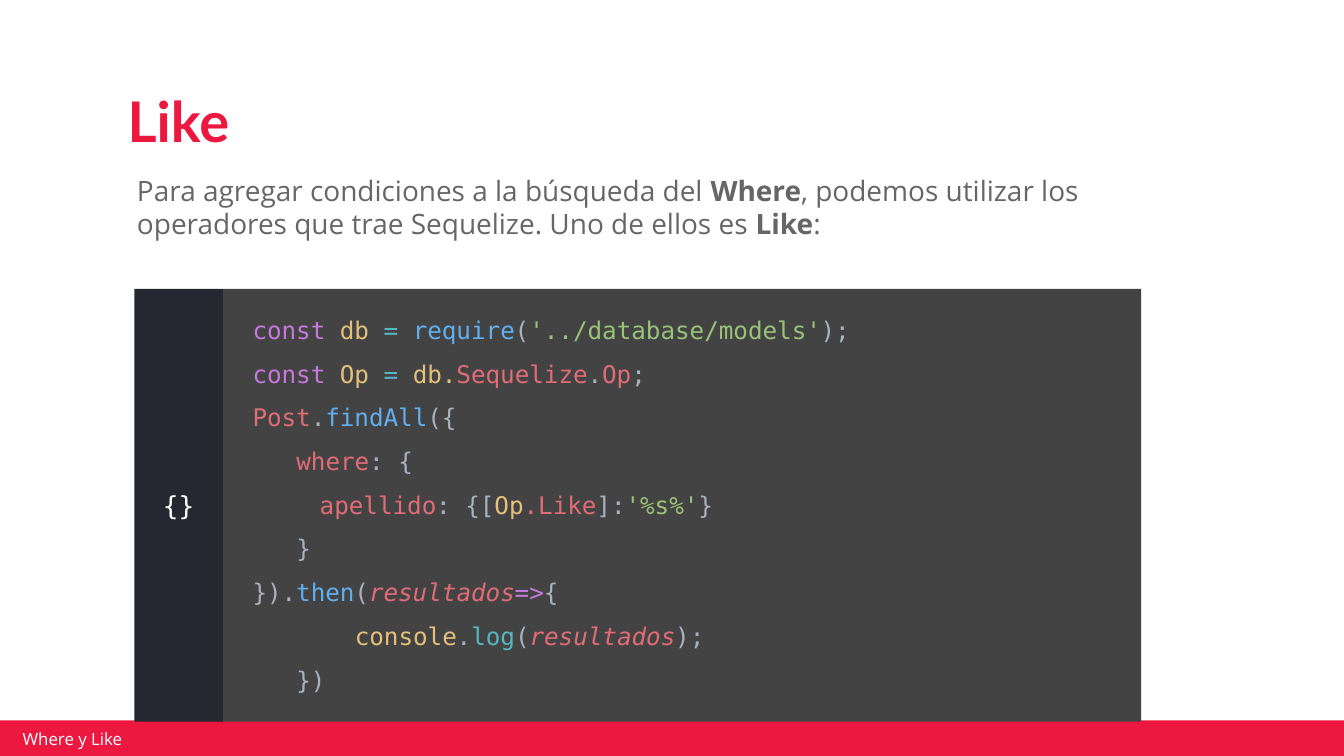
from pptx import Presentation
from pptx.dml.color import RGBColor
from pptx.enum.shapes import MSO_SHAPE as Shape
from pptx.enum.text import MSO_ANCHOR as Anchor, MSO_AUTO_SIZE as AutoSize, PP_ALIGN as Align
from pptx.oxml.ns import qn
from pptx.util import Pt
from lxml.etree import SubElement

COLORS = {
    "accent": "EC183F", "white": "FFFFFF", "body": "666666", "strong": "666666",
    "panel": "434343", "gutter": "262831",
    "keyword": "C678DD", "object": "E5C07B", "operator": "56B6C2",
    "function": "61AFEF", "mark": "ABB2BF", "string": "98C379",
    "name": "E06C75", "argument": "E06C75", "heading": "EC183F",
}
BOLD = {"heading", "strong"}
ITALIC = {"argument"}

TITLE = [(0, [("Like", "heading")])]
INTRO = [(0, [
    ("Para agregar condiciones a la búsqueda del ", "body"), ("Where", "strong"),
    (", podemos utilizar los operadores que trae Sequelize. Uno de ellos es ", "body"),
    ("Like", "strong"), (":", "body"),
])]
FOOTER = [(0, [("Where y Like", "white")])]
BRACES = [(0, [("{}", "white")])]
CODE = [
    (0, [("const ", "keyword"), ("db ", "object"), ("= ", "operator"), ("require", "function"),
         ("(", "mark"), ("'../database/models'", "string"), (");", "mark")]),
    (0, [("const ", "keyword"), ("Op ", "object"), ("= ", "operator"), ("db.", "object"),
         ("Sequelize", "name"), (".", "mark"), ("Op", "name"), (";", "mark")]),
    (0, [("Post", "name"), (".", "mark"), ("findAll", "function"), ("({", "mark")]),
    (23.5, [("where", "name"), (": {", "mark")]),
    (36, [("apellido", "name"), (": {[", "mark"), ("Op", "object"), (".Like", "name"),
          ("]:", "mark"), ("'%s%'", "string"), ("}", "mark")]),
    (23.5, [("}", "mark")]),
    (0, [("}).", "mark"), ("then", "function"), ("(", "mark"), ("resultados", "argument"),
         ("=>", "keyword"), ("{", "mark")]),
    (54.8, [("console", "object"), (".", "mark"), ("log", "operator"), ("(", "mark"),
            ("resultados", "argument"), (");", "mark")]),
    (23.5, [("})", "mark")]),
]

SLIDE_WIDTH, SLIDE_HEIGHT = 720, 405
BAR_TOP = 386
PANEL_LEFT, PANEL_TOP, PANEL_HEIGHT = 72, 154.8, 231.8
GUTTER_WIDTH, CODE_WIDTH = 47.5, 491.8


def write_text(shape, lines, font, size, align=Align.LEFT, anchor=Anchor.TOP,
               insets=(7.2, 7.2, 7.2, 7.2), spacing=1.0, before=0):
    """Fill a shape with indented lines of styled runs."""
    frame = shape.text_frame
    frame.word_wrap = True
    frame.auto_size = AutoSize.NONE
    frame.vertical_anchor = anchor
    frame.margin_left, frame.margin_top, frame.margin_right, frame.margin_bottom = map(Pt, insets)
    for index, (indent, runs) in enumerate(lines):
        paragraph = frame.add_paragraph() if index else frame.paragraphs[0]
        paragraph.alignment = align
        paragraph.line_spacing = spacing
        paragraph.space_before = Pt(before)
        properties = paragraph._p.get_or_add_pPr()
        properties.set("marL", "0")
        properties.set("indent", str(int(Pt(indent))))
        SubElement(properties, qn("a:buNone"))
        for text, kind in runs:
            run = paragraph.add_run()
            run.text = text
            run.font.name = font
            run.font.size = Pt(size)
            run.font.bold = kind in BOLD
            run.font.italic = kind in ITALIC
            run.font.color.rgb = RGBColor.from_string(COLORS[kind])


def place(shape, left, top, width, height):
    shape.left, shape.top, shape.width, shape.height = map(Pt, (left, top, width, height))
    return shape


def add_rectangle(shapes, color, *box):
    shape = shapes.add_shape(Shape.RECTANGLE, *map(Pt, box))
    shape.shadow.inherit = False
    shape.fill.solid()
    shape.fill.fore_color.rgb = RGBColor.from_string(COLORS[color])
    shape.line.fill.background()
    return shape


def main():
    presentation = Presentation()
    presentation.slide_width, presentation.slide_height = Pt(SLIDE_WIDTH), Pt(SLIDE_HEIGHT)
    slide = presentation.slides.add_slide(presentation.slide_layouts[1])
    title, intro = slide.placeholders

    add_rectangle(slide.shapes, "accent", -1.4, BAR_TOP, SLIDE_WIDTH + 2, SLIDE_HEIGHT - BAR_TOP)
    footer = slide.shapes.add_textbox(*map(Pt, (8.6, 390.2, 172, 10.8)))
    write_text(footer, FOOTER, "Open Sans", 9, anchor=Anchor.MIDDLE, insets=(3.6, 1.4, 3.6, 1.4))

    block = slide.shapes.add_group_shape().shapes
    code = add_rectangle(block, "panel", PANEL_LEFT + GUTTER_WIDTH, PANEL_TOP, CODE_WIDTH, PANEL_HEIGHT)
    write_text(code, CODE, "DejaVu Sans Mono", 13, anchor=Anchor.MIDDLE,
               insets=(15.8, 1.4, 1.4, 10), spacing=1.5)
    gutter = add_rectangle(block, "gutter", PANEL_LEFT, PANEL_TOP, GUTTER_WIDTH, PANEL_HEIGHT)
    write_text(gutter, BRACES, "DejaVu Sans Mono", 14, align=Align.CENTER, anchor=Anchor.MIDDLE)

    write_text(place(title, 61.2, 43.2, 429, 49.7), TITLE, "Lato", 30, spacing=0.9)
    write_text(place(intro, PANEL_LEFT, 92.9, GUTTER_WIDTH + CODE_WIDTH, 43.2), INTRO,
               "Open Sans", 15, insets=(1.4, 0, 7.2, 7.2), before=6)
    presentation.save("out.pptx")


if __name__ == "__main__":
    main()
